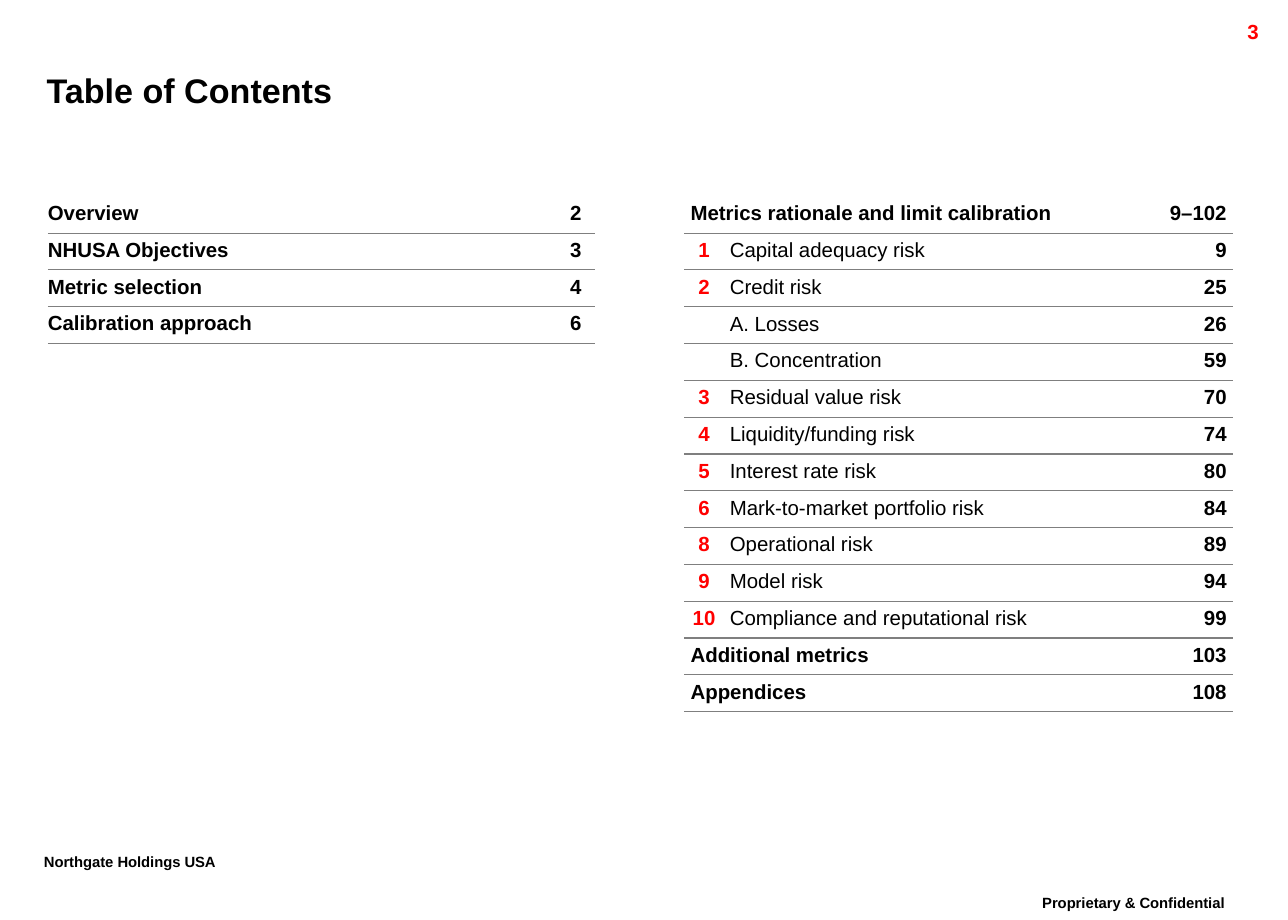
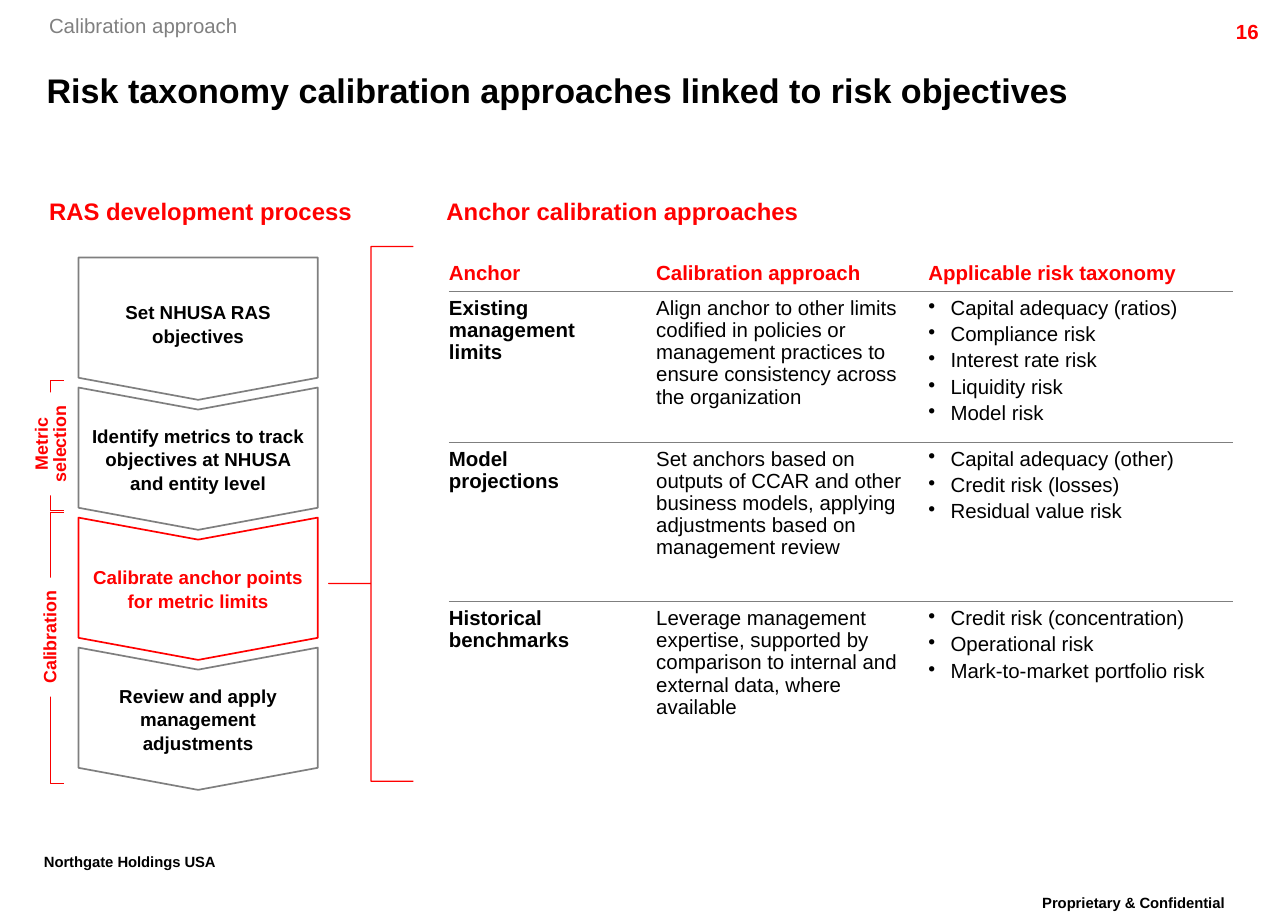
from copy import deepcopy

from lxml.etree import SubElement
from pptx import Presentation
from pptx.dml.color import RGBColor
from pptx.enum.shapes import MSO_SHAPE
from pptx.enum.text import MSO_ANCHOR, MSO_AUTO_SIZE, PP_ALIGN
from pptx.oxml.ns import qn
from pptx.util import Emu, Pt

PX = 9144  # EMU in one px, 100 px to the inch
FONT = "Arial"
BLACK, WHITE, RED, BRACKET_RED = "000000", "FFFFFF", "FF0000", "F90000"
RULE_GREY, CRUMB_GREY = "7F7F7F", "808080"
LEFT, CENTER, RIGHT = PP_ALIGN.LEFT, PP_ALIGN.CENTER, PP_ALIGN.RIGHT
TOP, MIDDLE, BOTTOM = MSO_ANCHOR.TOP, MSO_ANCHOR.MIDDLE, MSO_ANCHOR.BOTTOM
SIDES = "margin_left", "margin_top", "margin_right", "margin_bottom"
NO_STYLE_NO_GRID = "{2D5ABB26-0587-4C30-8999-92F81FD0307C}"

LEFT_CONTENTS = [
    ("Overview", "2"),
    ("NHUSA Objectives", "3"),
    ("Metric selection", "4"),
    ("Calibration approach", "6"),
]
RIGHT_CONTENTS = [
    ("Metrics rationale and limit calibration", None, "9–102"),
    ("1", "Capital adequacy risk", "9"),
    ("2", "Credit risk", "25"),
    ("", "A. Losses", "26"),
    ("", "B. Concentration", "59"),
    ("3", "Residual value risk", "70"),
    ("4", "Liquidity/funding risk", "74"),
    ("5", "Interest rate risk", "80"),
    ("6", "Mark-to-market portfolio risk", "84"),
    ("8", "Operational risk", "89"),
    ("9", "Model risk", "94"),
    ("10", "Compliance and reputational risk", "99"),
    ("Additional metrics", None, "103"),
    ("Appendices", None, "108"),
]
ANCHOR_HEADER = "Anchor", "Calibration approach", "Applicable risk taxonomy"
ANCHORS = [
    ("Existing management\vlimits",
     "Align anchor to other limits codified in policies or management "
     "practices to ensure consistency across the organization",
     ["Capital adequacy (ratios)", "Compliance risk", "Interest rate risk",
      "Liquidity risk", "Model risk"]),
    ("Model\vprojections",
     "Set anchors based on outputs of CCAR and other business models, "
     "applying adjustments based on management review",
     ["Capital adequacy (other)", "Credit risk (losses)",
      "Residual value risk"]),
    ("Historical benchmarks",
     "Leverage management expertise, supported by comparison to internal "
     "and external data, where available",
     ["Credit risk (concentration)", "Operational risk",
      "Mark-to-market portfolio risk"]),
]
STEPS = [
    ("Set NHUSA RAS objectives", BLACK, RULE_GREY),
    ("Identify metrics to track objectives at NHUSA and entity level",
     BLACK, RULE_GREY),
    ("Calibrate anchor points for metric limits", RED, RED),
    ("Review and apply management adjustments", BLACK, RULE_GREY),
]


def px(*lengths):
    return [Emu(round(n * PX)) for n in lengths]


def rgb(color):
    return RGBColor.from_string(color)


def style(obj, **values):
    for name, value in values.items():
        setattr(obj, name, value)


def set_margins(obj, margins):
    style(obj, **dict(zip(SIDES, px(*margins))))


def write(tf, text, size=12, bold=True, color=BLACK, align=LEFT,
          spacing=None, bullet=False, baseline=None):
    """Fill a text frame with one string, or with a list of paragraphs."""
    for i, line in enumerate([text] if isinstance(text, str) else text):
        p = tf.add_paragraph() if i else tf.paragraphs[0]
        p.text = line
        style(p, alignment=align, line_spacing=spacing)
        if bullet:
            pPr = p._p.get_or_add_pPr()
            pPr.set("marL", str(18 * PX))
            pPr.set("indent", str(-18 * PX))
            SubElement(pPr, qn("a:buChar")).set("char", "•")
            if i:
                p.space_before = Pt(2.4)
        for r in p.runs:
            style(r.font, name=FONT, size=Pt(size), bold=bold)
            r.font.color.rgb = rgb(color)
            if baseline:
                r.font._rPr.set("baseline", str(baseline * 1000))
        for br in p._p.findall(qn("a:br")):
            br.insert(0, deepcopy(p.runs[0].font._rPr))
        if not line:
            p._p.get_or_add_endParaRPr().set("sz", str(size * 100))


def add_text(slide, box, text, margins=(0, 0, 0, 0), **fmt):
    tf = slide.shapes.add_textbox(*px(*box)).text_frame
    tf.word_wrap = True
    set_margins(tf, margins)
    write(tf, text, **fmt)


def add_outline(slide, kind, box, line=None, fill=None, width=0.75, adj=()):
    sp = slide.shapes.add_shape(kind, *px(*box))
    sp.shadow.inherit = False
    if fill:
        sp.fill.solid()
        sp.fill.fore_color.rgb = rgb(fill)
    else:
        sp.fill.background()
    if line:
        sp.line.color.rgb = rgb(line)
        sp.line.width = Pt(width)
    else:
        sp.line.fill.background()
    for i, value in enumerate(adj):
        sp.adjustments[i] = value
    return sp


def write_upward(sp, text, margin=0, **fmt):
    """Text turned 270 degrees against the shape it stands in."""
    tf = sp.text_frame
    style(tf, word_wrap=True, vertical_anchor=MIDDLE)
    set_margins(tf, [margin] * 4)
    tf._txBody.bodyPr.set("vert", "vert270")
    write(tf, text, align=CENTER, **fmt)


def add_plain_table(slide, left, top, widths, heights):
    frame = slide.shapes.add_table(
        len(heights), len(widths), *px(left, top, sum(widths), sum(heights)))
    table = frame.table
    style(table, first_row=False, horz_banding=False)
    table._tbl.tblPr.find(qn("a:tableStyleId")).text = NO_STYLE_NO_GRID
    for column, width in zip(table.columns, px(*widths)):
        column.width = width
    for row, height in zip(table.rows, px(*heights)):
        row.height = height
    return table


def fill_cell(cell, text, margins, anchor=MIDDLE, rule=True, **fmt):
    cell.fill.background()
    cell.vertical_anchor = anchor
    set_margins(cell, margins)
    write(cell.text_frame, text, **fmt)
    if rule:
        tcPr = cell._tc.get_or_add_tcPr()
        ln = SubElement(tcPr, qn("a:lnB"))
        ln.set("w", str(Pt(0.75)))
        fill = SubElement(ln, qn("a:solidFill"))
        SubElement(fill, qn("a:srgbClr")).set("val", RULE_GREY)
        tcPr.insert(0, ln)


def add_base_slide(prs, title, number):
    """A slide with the shared title, page number and footers."""
    slide = prs.slides.add_slide(prs.slide_layouts[5])
    sp = slide.shapes.title
    left, top, width, height = px(38, 49, 948, 48)
    style(sp, left=left, top=top, width=width, height=height)
    style(sp.text_frame, word_wrap=True, vertical_anchor=MIDDLE,
          auto_size=MSO_AUTO_SIZE.NONE)
    set_margins(sp.text_frame, (0, 0, 0, 0))
    write(sp.text_frame, title, size=20)
    inset = 10, 5, 10, 5
    add_text(slide, (936, 11, 100, 24), number, inset, color=RED, align=RIGHT)
    footer = {"size": 15, "spacing": 0.86, "baseline": 30}
    add_text(slide, (26, 691, 230, 35), "Northgate Holdings USA", inset,
             **footer)
    add_text(slide, (815, 725, 218, 35), "Proprietary & Confidential", inset,
             align=CENTER, **footer)
    return slide


def add_left_contents(slide, left, top):
    table = add_plain_table(slide, left, top, [393, 53],
                            [30] * len(LEFT_CONTENTS))
    for r, (topic, page) in enumerate(LEFT_CONTENTS):
        fill_cell(table.cell(r, 0), topic, (0, 5, 11, 5), spacing=0.86)
        fill_cell(table.cell(r, 1), page, (11, 5, 11, 5), spacing=0.86,
                  align=RIGHT)


def add_right_contents(slide, left, top):
    table = add_plain_table(slide, left, top, [32, 330, 85],
                            [30] * len(RIGHT_CONTENTS))
    for r, (first, topic, page) in enumerate(RIGHT_CONTENTS):
        heading = topic is None
        formats = [
            {"color": BLACK if heading else RED,
             "align": LEFT if heading else CENTER},
            {"bold": False},
            {"align": RIGHT},
        ]
        for c, text in enumerate((first, topic or "", page)):
            fill_cell(table.cell(r, c), text, (5, 5, 5, 5), spacing=0.86,
                      **formats[c])
        if heading:
            table.cell(r, 0).merge(table.cell(r, 1))


def add_anchor_table(slide, left, top):
    table = add_plain_table(slide, left, top, [159, 222, 258],
                            [29, 123, 130, 129])
    margins = [(0, 5, 10, 5), (10, 5, 10, 5), (10, 5, 10, 5)]
    for r, row in enumerate([ANCHOR_HEADER, *ANCHORS]):
        for c, text in enumerate(row):
            fill_cell(table.cell(r, c), text, margins[c],
                      anchor=TOP if r else BOTTOM, rule=r < len(ANCHORS),
                      color=BLACK if r else RED, bold=r == 0 or c == 0,
                      bullet=r > 0 and c == 2, spacing=0.97)


def add_process(slide, left, top, width=195, height=116, pitch=106):
    """Downward steps: arrows turned a quarter inside each step's box."""
    shift = (width - height) / 2
    for i, (text, color, line) in enumerate(STEPS):
        kind = MSO_SHAPE.CHEVRON if i else MSO_SHAPE.PENTAGON
        box = left + shift, top + i * pitch - shift, height, width
        sp = add_outline(slide, kind, box, line, WHITE, 1, [0.155])
        sp.rotation = 90
        write_upward(sp, text, 8, size=11, color=color, spacing=1.05)


def add_phase(slide, text, bracket, label):
    add_outline(slide, MSO_SHAPE.LEFT_BRACKET, bracket, BRACKET_RED, adj=[0])
    sp = add_outline(slide, MSO_SHAPE.RECTANGLE, label, fill=WHITE)
    write_upward(sp, text, size=10.5, color=RED, spacing=0.86)


def build_contents(prs):
    slide = add_base_slide(prs, "Table of Contents", "3")
    add_left_contents(slide, 39, 160)
    add_right_contents(slide, 558, 160)


def build_calibration(prs):
    slide = add_base_slide(
        prs, "Risk taxonomy calibration approaches linked to risk objectives",
        "16")
    add_text(slide, (40, 11, 200, 20), "Calibration approach", bold=False,
             color=CRUMB_GREY)
    for left, width, text in [(40, 261, "RAS development process"),
                              (364, 600, "Anchor calibration approaches")]:
        add_text(slide, (left, 160, width, 24), text, size=14, color=RED)
    add_anchor_table(slide, 366, 208)
    add_process(slide, 64, 210)
    add_phase(slide, "Calibration", (41, 418, 11, 221), (29, 471, 25, 97))
    add_phase(slide, ["Metric", "selection"], (41, 310, 11, 106),
              (22, 320, 40, 84))
    add_outline(slide, MSO_SHAPE.LEFT_BRACE, (268, 201, 69, 436), RED,
                adj=[0, 0.63])


def main():
    prs = Presentation()
    prs.slide_width, prs.slide_height = px(1050, 750)
    build_contents(prs)
    build_calibration(prs)
    prs.save("out.pptx")


if __name__ == "__main__":
    main()
